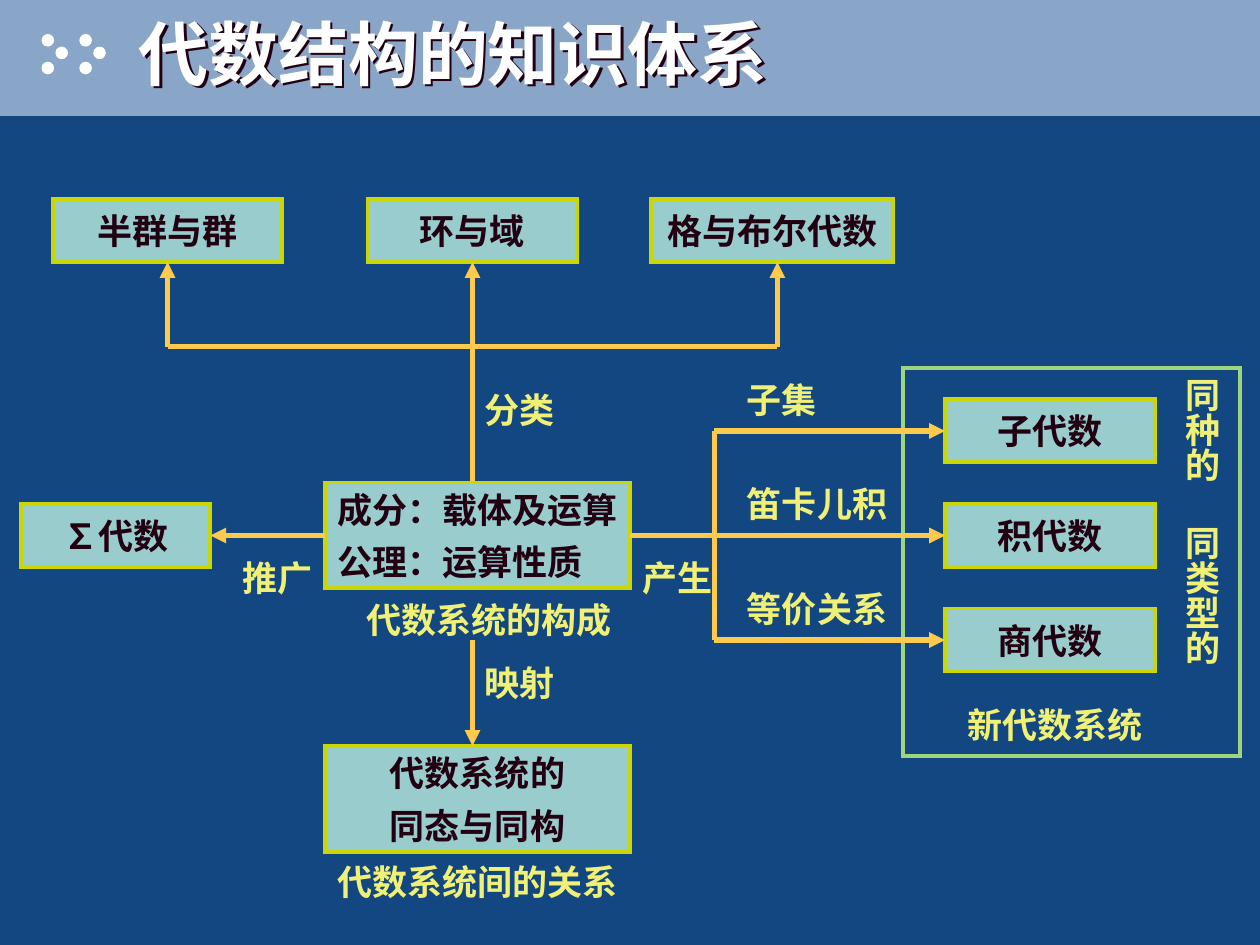
from lxml import etree
from pptx import Presentation
from pptx.dml.color import RGBColor
from pptx.enum import lang, shapes, text
from pptx.oxml.ns import qn
from pptx.util import Inches, Pt

NAVY = RGBColor(0x13, 0x47, 0x81)
BAND = RGBColor(0x89, 0xA5, 0xC7)
WHITE = RGBColor(0xFF, 0xFF, 0xFF)
TEAL = RGBColor(0x99, 0xCC, 0xCC)
LIME = RGBColor(0xCA, 0xD7, 0x04)
GREEN = RGBColor(0x9E, 0xD6, 0x7D)
ORANGE = RGBColor(0xFF, 0xC9, 0x4C)
YELLOW = RGBColor(0xF0, 0xF0, 0x76)
INK = RGBColor(0x22, 0x00, 0x11)
ARIAL, NOTO = "Arial", "Noto Sans CJK SC"
LEFT, CENTER = text.PP_ALIGN.LEFT, text.PP_ALIGN.CENTER
TOP, WEST, BOTTOM, EAST = range(4)
BOX_H, TALL_H, LABEL_H = 0.5, 0.84, 0.5


def write(sp, lines, color, font=ARIAL, size=20, align=LEFT, before=0, wrap=False):
    """Fill a shape with lines; a line is a string or a list of (text, font)."""
    tf = sp.text_frame
    tf.word_wrap = wrap
    tf.vertical_anchor = text.MSO_ANCHOR.MIDDLE
    for i, line in enumerate(lines):
        p = tf.paragraphs[0] if i == 0 else tf.add_paragraph()
        p.alignment, p.space_before = align, Pt(before)
        for words, face in [(line, font)] if isinstance(line, str) else line:
            r = p.add_run()
            r.text = words
            style = {"size": Pt(size), "bold": True, "name": face,
                     "language_id": lang.MSO_LANGUAGE_ID.SIMPLIFIED_CHINESE}
            for key, value in style.items():
                setattr(r.font, key, value)
            r.font.color.rgb = color
            etree.SubElement(r.font._element, qn("a:ea"), typeface=face)


def shape(s, kind, x, y, w, h, fill=None, line=None):
    sp = s.shapes.add_shape(kind, Inches(x), Inches(y), Inches(w), Inches(h))
    sp.shadow.inherit = False
    for part, color in ((sp.fill, fill), (sp.line.fill, line)):
        if color is None:
            part.background()
        else:
            part.solid()
            part.fore_color.rgb = color
    if line is not None:
        sp.line.width = Pt(2.25)
        etree.SubElement(sp.line._get_or_add_ln(), qn("a:miter"), lim="800000")
    return sp


def node(s, x, y, w, *lines, h=BOX_H, font=NOTO, align=CENTER):
    sp = shape(s, shapes.MSO_SHAPE.RECTANGLE, x, y, w, h, TEAL, LIME)
    write(sp, lines, INK, font, align=align, before=6.2)
    return sp


def label(s, x, y, w, words, h=LABEL_H, align=LEFT, vertical=False):
    """Add a one-line caption; margins are trimmed so that it fits its box."""
    sp = s.shapes.add_textbox(Inches(x), Inches(y), Inches(w), Inches(h))
    write(sp, [words], YELLOW, align=CENTER if vertical else align, before=11.2)
    tf = sp.text_frame
    if vertical:
        tf.margin_left = tf.margin_right = Inches(0.05)
        tf.margin_top = tf.margin_bottom = 0
        tf._txBody.bodyPr.set("vert", "eaVert")
    elif align == LEFT:
        tf.margin_right = 0


def link(s, x1, y1, x2, y2, begin=None, end=None, arrow=True):
    """Draw a line; begin and end are optional (shape, side) joints."""
    c = s.shapes.add_connector(shapes.MSO_CONNECTOR.STRAIGHT,
                               Inches(x1), Inches(y1), Inches(x2), Inches(y2))
    c.line.color.rgb, c.line.width = ORANGE, Pt(3)
    if arrow:
        etree.SubElement(c.line._get_or_add_ln(), qn("a:tailEnd"), type="triangle")
    etree.SubElement(c._element.spPr, qn("a:effectLst"))
    if begin:
        c.begin_connect(*begin)
    if end:
        c.end_connect(*end)


def header(s, x, y, w, h):
    shape(s, shapes.MSO_SHAPE.RECTANGLE, x, y, w, h, BAND)
    for dx in (0.33, 0.63):
        for step, dy in ((0, 0.27), (0.11, 0.37), (0, 0.49)):
            shape(s, shapes.MSO_SHAPE.OVAL, x + dx + step, y + dy, 0.1, 0.1, WHITE)
    sp = s.shapes.add_textbox(Inches(x + 1), Inches(y + 0.08), Inches(w - 1), Inches(0.67))
    write(sp, ["代数结构的知识体系"], WHITE, NOTO, size=40, wrap=True)
    effects = etree.SubElement(sp._element.spPr, qn("a:effectLst"))
    shadow = etree.SubElement(effects, qn("a:outerShdw"), dist="28400", dir="2700000")
    etree.SubElement(shadow, qn("a:srgbClr"), val=str(INK))


def core(s, x, y, w):
    sp = node(s, x, y, w, "成分：载体及运算", "公理：运算性质",
              h=TALL_H, font=ARIAL, align=LEFT)
    label(s, x + 0.09, y + TALL_H, w, "代数系统的构成", align=CENTER)
    return sp


def classes(s, x, y, h):
    """Three kinds of system above a bus fed from the bottom of the region."""
    bus, low = y + 1.17, y + BOX_H
    left, mid, right = x + 0.91, x + 3.33, x + 5.75
    link(s, left, bus, right, bus, arrow=False)
    groups = node(s, x, y, 1.82, "半群与群")
    rings = node(s, x + 2.5, y, 1.66, "环与域")
    node(s, x + 4.75, y, 1.92, "格与布尔代数", font=ARIAL)
    link(s, mid, y + h, mid, low, end=(rings, BOTTOM))
    link(s, right, bus, right, low)
    link(s, left, bus, left, low, end=(groups, BOTTOM))
    label(s, mid, y + 1.42, 1.25, "分类")


def generalisation(s, x, y, w, source):
    sp = node(s, x, y, 1.5, [("∑", NOTO), ("代数", ARIAL)])
    label(s, x + 1.66, y + 0.33, 0.83, "推广")
    mid = y + BOX_H / 2
    link(s, x + w, mid, x + 1.5, mid, (source, WEST), (sp, EAST))


def mapping(s, x, y, w):
    box_y = y + 0.84
    node(s, x, box_y, w, "代数系统的", "同态与同构", h=TALL_H, font=ARIAL)
    label(s, x, box_y + 0.83, w, "代数系统间的关系")
    link(s, x + 1.17, y, x + 1.17, box_y)
    label(s, x + 1.17, y + 0.09, 1.25, "映射")


def new_systems(s, x, y, source):
    """Three derived systems in a frame, fed from a fork at the left."""
    gap, fork, box_x = 0.83, x + 0.67, x + 2.5
    first = y + 0.5
    link(s, fork, first, fork, first + 2 * gap, arrow=False)
    shape(s, shapes.MSO_SHAPE.RECTANGLE, x + 2.17, y, 2.67, 3.08, line=GREEN)
    rows = (("子集", "子代数"), ("笛卡儿积", "积代数"), ("等价关系", "商代数"))
    for i, (way, result) in enumerate(rows):
        mid = first + i * gap
        sp = node(s, box_x, mid - BOX_H / 2, 1.67, result)
        begin = (source, EAST) if i == 1 else None
        link(s, x if begin else fork, mid, box_x, mid, begin, (sp, WEST))
        label(s, x + 0.83, mid - LABEL_H, 1.25, way)
    label(s, x + 2.58, y + 2.58, 1.83, "新代数系统")
    label(s, x + 4.33, y + 0.08, 0.42, "同种的", h=0.92, vertical=True)
    label(s, x + 4.33, y + 1.25, 0.42, "同类型的", h=1.25, vertical=True)
    label(s, x, y + 1.41, 0.83, "产生")


def main():
    prs = Presentation()
    prs.slide_width, prs.slide_height = Inches(10), Inches(7.5)
    s = prs.slides.add_slide(prs.slide_layouts[6])
    s.background.fill.solid()
    s.background.fill.fore_color.rgb = NAVY
    header(s, 0, 0, 10, 0.92)
    classes(s, 0.42, 1.58, 2.25)
    center = core(s, 2.58, 3.83, 2.42)
    generalisation(s, 0.17, 4, 2.41, center)
    mapping(s, 2.58, 5.08, 2.42)
    new_systems(s, 5, 2.92, center)
    prs.save("out.pptx")


if __name__ == "__main__":
    main()
